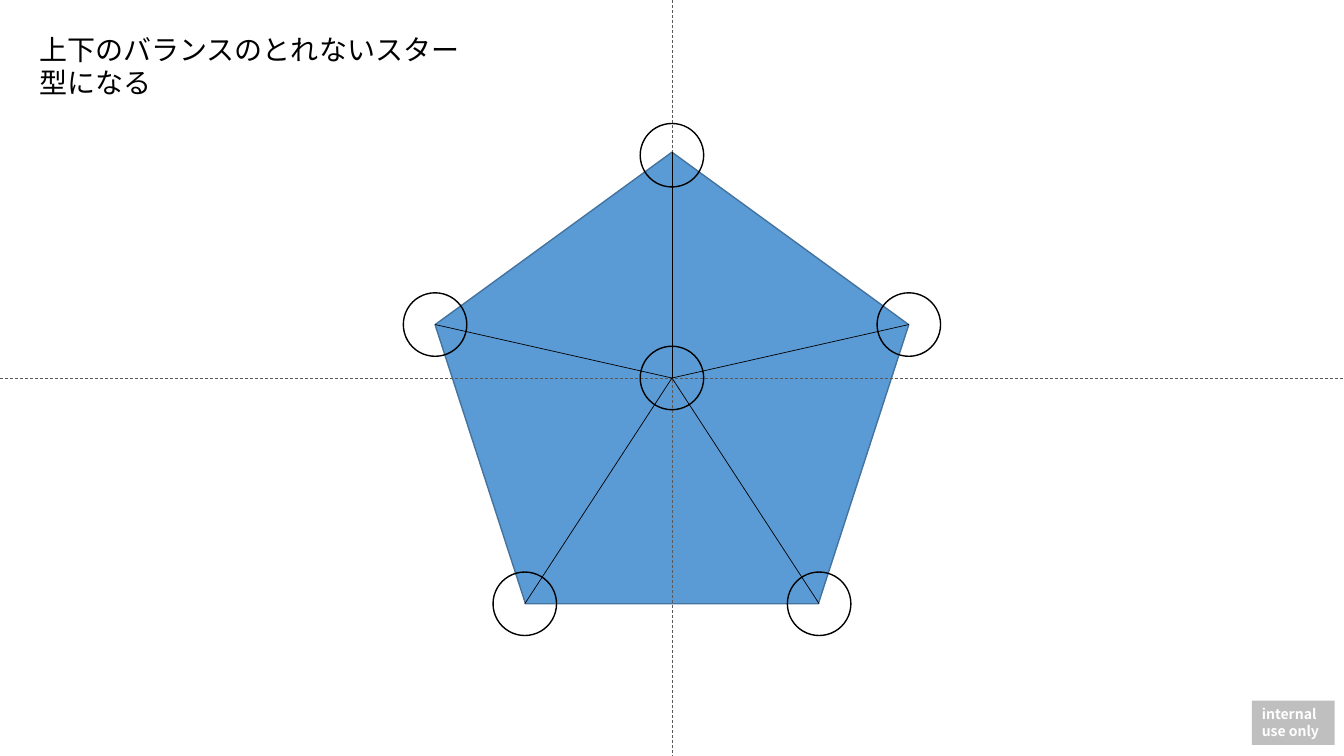
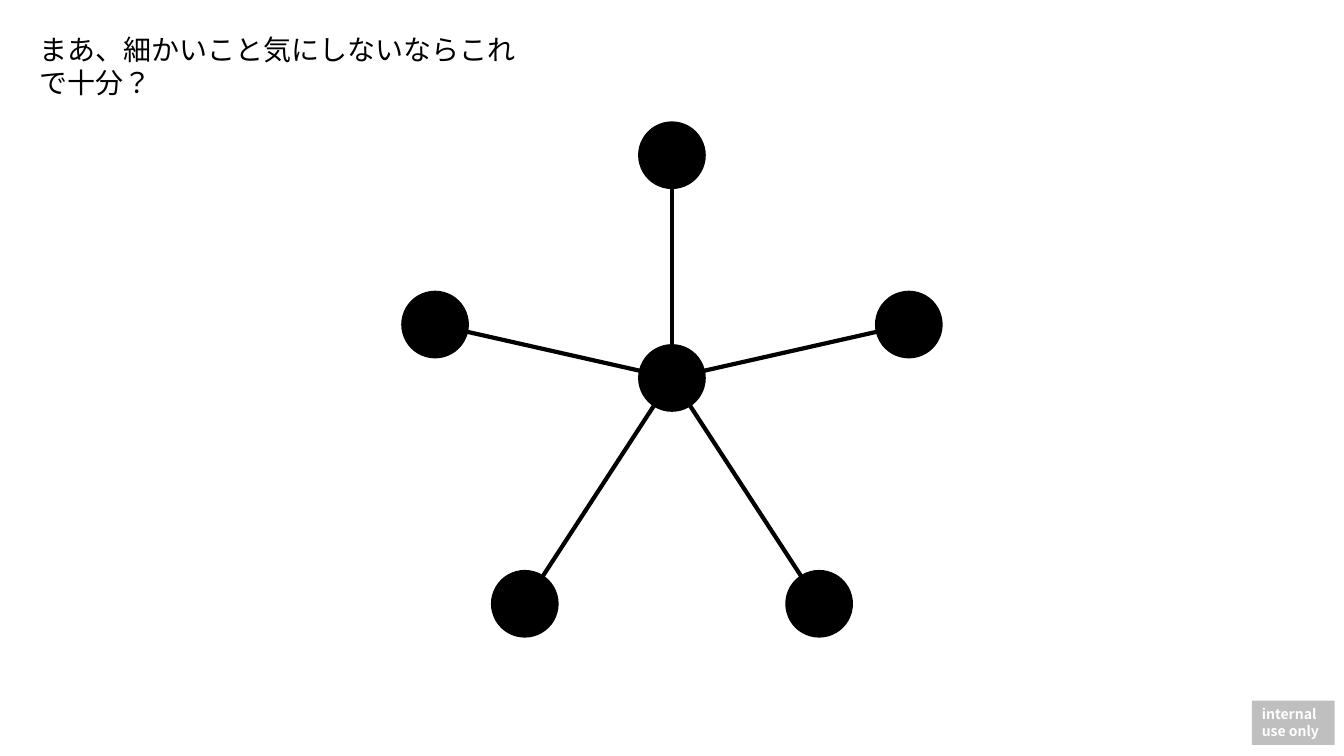
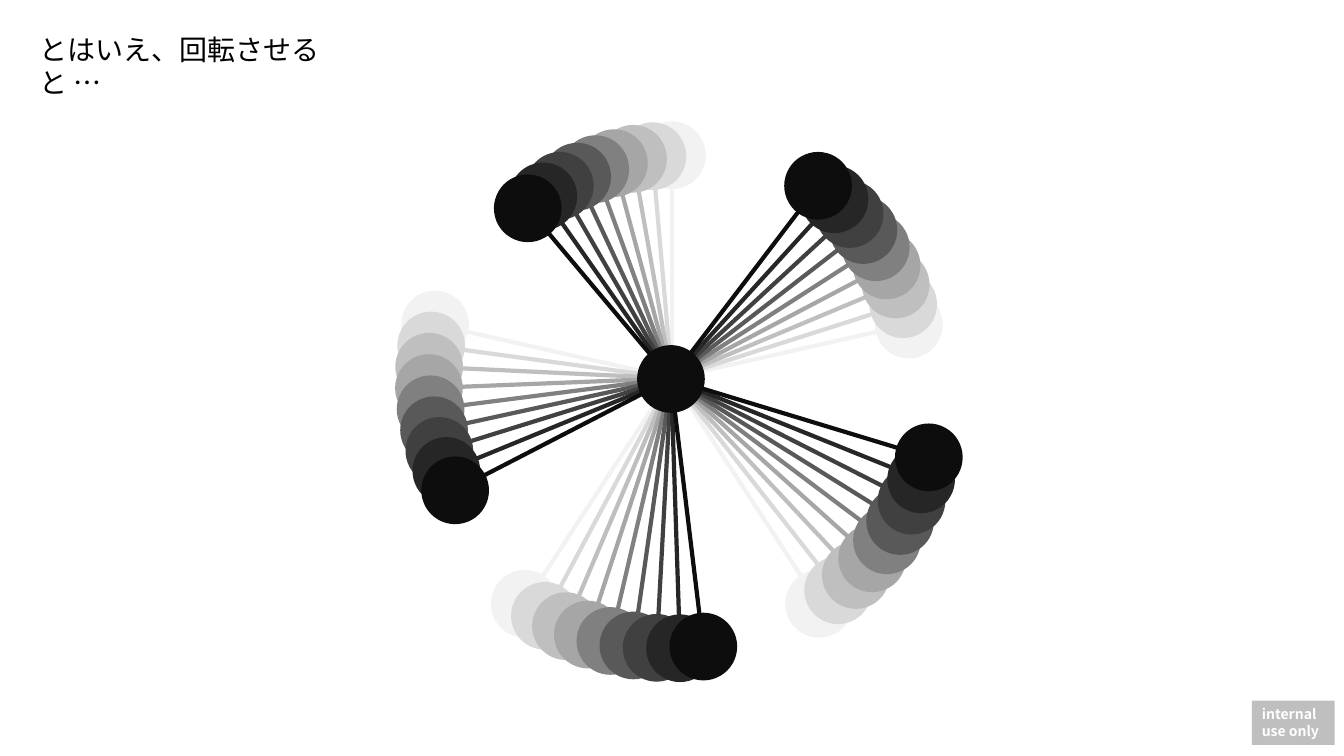
from math import cos, sin, radians
from pptx import Presentation
from pptx.util import Inches, Pt
from pptx.dml.color import RGBColor
from pptx.enum.dml import MSO_LINE
from pptx.enum.lang import MSO_LANGUAGE_ID as LANG
from pptx.enum.shapes import MSO_SHAPE, MSO_CONNECTOR
from pptx.enum.text import MSO_ANCHOR, MSO_AUTO_SIZE, PP_ALIGN
from pptx.oxml.ns import qn
from lxml.etree import SubElement

TITLES = [
    ("上下のバランスのとれないスター型になる", 4.64),
    ("まあ、細かいこと気にしないならこれで十分\uff1f", 5.06),
    ("とはいえ、回転させると …", 3.02),
]
LABEL = ["internal", "use only"]
FONT = "Noto Sans CJK JP"
BLACK = RGBColor(0, 0, 0)
WHITE = RGBColor(255, 255, 255)
LABEL_GREY = RGBColor(0xBF, 0xBF, 0xBF)
AXIS_GREY = RGBColor(0x59, 0x59, 0x59)
BLUE = RGBColor(0x5B, 0x9B, 0xD5)
BLUE_EDGE = RGBColor(0x43, 0x73, 0x9E)
SHADES = [RGBColor(v, v, v) for v in
          (0xF2, 0xD9, 0xBF, 0xA6, 0x80, 0x59, 0x40, 0x26, 0x0D)]

W, H = 40 / 3, 7.5
CX, CY = W / 2, H / 2
HALF_W, HALF_H = 2.35, 2.24
NODE = 0.63
STEP = 5
DRIFT = 0.01 / 8


def five_points(top, side, foot):
    return [top] + [(sign * x, y) for x, y in (side, foot) for sign in (-1, 1)]


TIPS = five_points((0, -HALF_H), (HALF_W, -0.53), (1.46, HALF_H))
NODES = five_points((0, -2.21), (HALF_W, -0.53), (1.46, HALF_H))


def turn(point, step):
    x, y = point
    a = radians(step * STEP)
    shift = step * DRIFT
    return CX - shift + x * cos(a) + y * sin(a), CY + shift - x * sin(a) + y * cos(a)


def add_shape(shapes, kind, x, y, w, h, fill=None, line=None, width=1):
    sp = shapes.add_shape(kind, Inches(x), Inches(y), Inches(w), Inches(h))
    sp.shadow.inherit = False
    if fill is None:
        sp.fill.background()
    else:
        sp.fill.solid()
        sp.fill.fore_color.rgb = fill
    if line is None:
        sp.line.fill.background()
    else:
        sp.line.color.rgb = line
        sp.line.width = Pt(width)
    return sp


def add_line(shapes, start, end, color, width):
    x1, y1, x2, y2 = (Inches(v) for v in (*start, *end))
    ln = shapes.add_connector(MSO_CONNECTOR.STRAIGHT, x1, y1, x2, y2)
    ln.line.color.rgb = color
    ln.line.width = Pt(width)
    SubElement(ln._element.spPr, qn("a:effectLst"))
    return ln


def write(sp, lines, size, color, lang, bold=False, wrap=True):
    tf = sp.text_frame
    tf.word_wrap = wrap
    tf.auto_size = MSO_AUTO_SIZE.SHAPE_TO_FIT_TEXT
    tf.vertical_anchor = MSO_ANCHOR.TOP
    for i, text in enumerate(lines):
        p = tf.add_paragraph() if i else tf.paragraphs[0]
        p.alignment = PP_ALIGN.LEFT
        r = p.add_run()
        r.text = text
        r.font.size = Pt(size)
        r.font.bold = bold
        r.font.color.rgb = color
        r.font.name = FONT
        r.font.language_id = lang
        SubElement(r.font._element, qn("a:ea")).set("typeface", FONT)


def add_star(shapes, line, line_width, node_width, fill=None, step=0, hub=True):
    for node in [(0, 0)] * hub + NODES:
        x, y = turn(node, step)
        add_shape(shapes, MSO_SHAPE.OVAL, x - NODE / 2, y - NODE / 2, NODE, NODE,
                  fill, line, node_width)
    for tip in TIPS:
        add_line(shapes, turn(tip, step), turn((0, 0), step), line, line_width)


def add_slide(prs, title, title_width):
    s = prs.slides.add_slide(prs.slide_layouts[6])
    label = add_shape(s.shapes, MSO_SHAPE.RECTANGLE, 12.42, 6.95, 0.82, 0.44, LABEL_GREY)
    write(label, LABEL, 10, WHITE, LANG.ENGLISH_US, bold=True, wrap=False)
    box = s.shapes.add_textbox(Inches(0.29), Inches(0.27), Inches(title_width), Inches(0.44))
    write(box, [title], 20, BLACK, LANG.JAPANESE)
    return s.shapes


prs = Presentation()
prs.slide_width, prs.slide_height = Inches(W), Inches(H)
outline, solid, rotated = [add_slide(prs, *title) for title in TITLES]

add_shape(outline, MSO_SHAPE.REGULAR_PENTAGON, CX - HALF_W, CY - HALF_H,
          2 * HALF_W, 2 * HALF_H, BLUE, BLUE_EDGE)
for start, end in (((0, CY), (W, CY)), ((CX, 0), (CX, H))):
    add_line(outline, start, end, AXIS_GREY, 0.5).line.dash_style = MSO_LINE.DASH
add_star(outline, BLACK, 0.5, 1)

add_star(solid.add_group_shape().shapes, BLACK, 3, 3, BLACK)

last = len(SHADES) - 1
for step, shade in enumerate(SHADES):
    add_star(rotated.add_group_shape().shapes, shade, 3, 3, shade, step, step == last)

prs.save("out.pptx")
